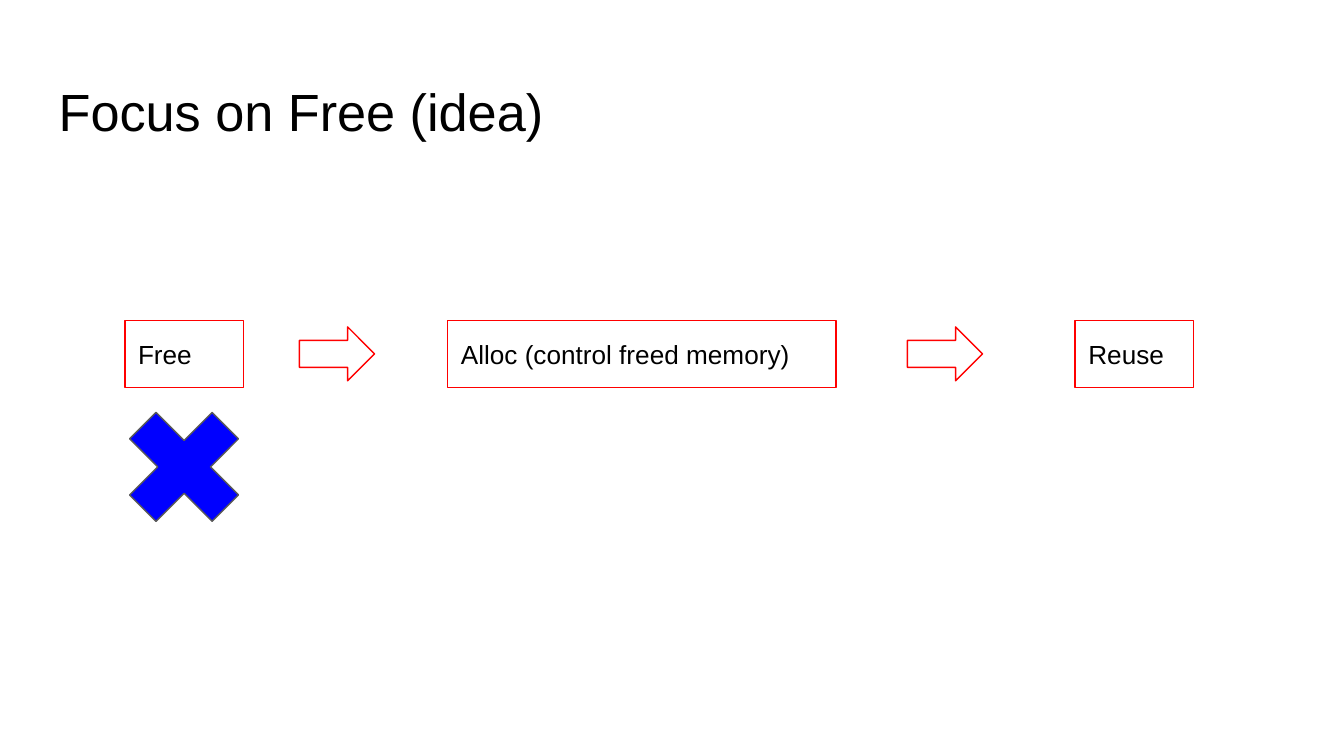
from pptx import Presentation
from pptx import util as u
from pptx.dml.color import RGBColor
from pptx.enum import shapes, text

COLORS = {"ink": "000000", "step": "FF0000", "cross": "0000FF", "cross_edge": "595959"}
FONT = "Arial"
TITLE = "Focus on Free (idea)"
STEPS = [("Free", 2.36, 2.24), ("Alloc (control freed memory)", 8.46, 7.34), ("Reuse", 20.32, 2.24)]
ARROW_LEFTS = [5.66, 17.15]
STEP_TOP, STEP_HEIGHT = 6.05, 1.27
ARROW_WIDTH, ARROW_HEIGHT = 1.42, 1.02
CROSS_SIZE = 3


def color(name):
    return RGBColor.from_string(COLORS[name])


def write(frame, words, size, anchor):
    frame.text = words
    frame.word_wrap = True
    frame.auto_size = text.MSO_AUTO_SIZE.NONE
    frame.vertical_anchor = anchor
    frame.margin_left = frame.margin_right = frame.margin_top = frame.margin_bottom = u.Cm(0.25)
    line = frame.paragraphs[0]
    line.alignment = text.PP_ALIGN.LEFT
    line.font.name = FONT
    line.font.size = u.Pt(size)
    line.font.color.rgb = color("ink")


def draw(slide, kind, left, top, width, height, edge, fill=None):
    figure = slide.shapes.add_shape(kind, u.Cm(left), u.Cm(top), u.Cm(width), u.Cm(height))
    figure.shadow.inherit = False
    figure.line.color.rgb = color(edge)
    figure.line.width = u.Pt(0.75)
    if fill:
        figure.fill.solid()
        figure.fill.fore_color.rgb = color(fill)
    else:
        figure.fill.background()
    return figure


def main():
    deck = Presentation()
    deck.slide_width, deck.slide_height = u.Cm(25.4), u.Cm(14.28)
    slide = deck.slides.add_slide(deck.slide_layouts[5])

    title = slide.shapes.title
    title.left, title.top, title.width, title.height = map(u.Cm, (0.86, 1.24, 23.67, 1.6))
    write(title.text_frame, TITLE, 28, text.MSO_ANCHOR.TOP)

    kinds = shapes.MSO_SHAPE
    for label, left, width in STEPS:
        step = draw(slide, kinds.RECTANGLE, left, STEP_TOP, width, STEP_HEIGHT, "step")
        write(step.text_frame, label, 14, text.MSO_ANCHOR.MIDDLE)

    arrow_top = STEP_TOP + (STEP_HEIGHT - ARROW_HEIGHT) / 2
    for left in ARROW_LEFTS:
        draw(slide, kinds.RIGHT_ARROW, left, arrow_top, ARROW_WIDTH, ARROW_HEIGHT, "step")

    _, free_left, free_width = STEPS[0]
    cross_left = free_left + (free_width - CROSS_SIZE) / 2
    cross = draw(slide, kinds.MATH_MULTIPLY, cross_left, STEP_TOP + STEP_HEIGHT,
                 CROSS_SIZE, CROSS_SIZE, "cross_edge", "cross")
    cross.adjustments[0] = 0.235

    deck.save("out.pptx")


if __name__ == "__main__":
    main()
